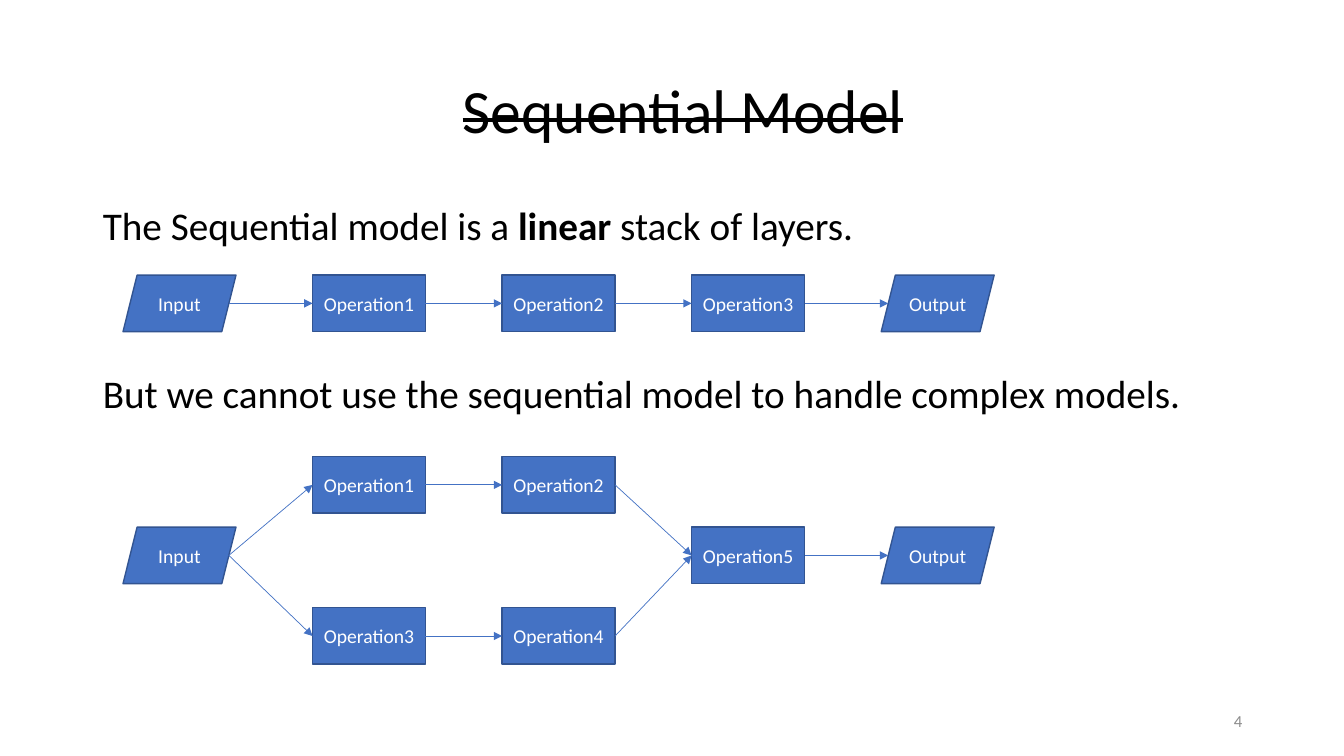
from dataclasses import dataclass

import pptx
import pptx.dml.color
import pptx.enum.shapes
import pptx.enum.text
import pptx.oxml
import pptx.oxml.ns
import pptx.util
from pptx.enum.shapes import MSO_SHAPE
from pptx.enum.text import MSO_ANCHOR, PP_ALIGN

EMU_PER_PX = 9144  # 100 px to the inch


@dataclass(frozen=True)
class Theme:
    font: str = "Calibri"
    ink: str = "000000"
    muted: str = "8C8C8C"
    on_fill: str = "FFFFFF"
    fill: str = "4472C4"
    outline: str = "325491"
    title_size: int = 44
    body_size: int = 28
    node_size: int = 14
    number_size: int = 12
    outline_width: float = 1
    arrow_width: float = 0.5


@dataclass(frozen=True)
class Node:
    label: str
    column: int
    top: int
    form: MSO_SHAPE = MSO_SHAPE.RECTANGLE


@dataclass(frozen=True)
class Diagram:
    nodes: list[Node]
    arrows: list[tuple[str, str]]


THEME = Theme()
NODE_WIDTH, NODE_HEIGHT = 112, 56
FIRST_LEFT, COLUMN_PITCH = 122, 188
SLANT_INSET = NODE_HEIGHT // 8  # middle of a parallelogram's slanted side

SLANTED = MSO_SHAPE.PARALLELOGRAM
LINEAR_TOP = 273
UPPER_TOP, MIDDLE_TOP, LOWER_TOP = 453, 523, 603

DIAGRAMS = [
    Diagram(
        [
            Node("Input", 0, LINEAR_TOP, SLANTED),
            Node("Operation1", 1, LINEAR_TOP),
            Node("Operation2", 2, LINEAR_TOP),
            Node("Operation3", 3, LINEAR_TOP),
            Node("Output", 4, LINEAR_TOP, SLANTED),
        ],
        [
            ("Input", "Operation1"),
            ("Operation1", "Operation2"),
            ("Operation2", "Operation3"),
            ("Operation3", "Output"),
        ],
    ),
    Diagram(
        [
            Node("Input", 0, MIDDLE_TOP, SLANTED),
            Node("Operation1", 1, UPPER_TOP),
            Node("Operation2", 2, UPPER_TOP),
            Node("Operation3", 1, LOWER_TOP),
            Node("Operation4", 2, LOWER_TOP),
            Node("Operation5", 3, MIDDLE_TOP),
            Node("Output", 4, MIDDLE_TOP, SLANTED),
        ],
        [
            ("Input", "Operation1"),
            ("Input", "Operation3"),
            ("Operation1", "Operation2"),
            ("Operation3", "Operation4"),
            ("Operation2", "Operation5"),
            ("Operation4", "Operation5"),
            ("Operation5", "Output"),
        ],
    ),
]


def px(length: int) -> pptx.util.Emu:
    return pptx.util.Emu(length * EMU_PER_PX)


def rgb(value: str) -> pptx.dml.color.RGBColor:
    return pptx.dml.color.RGBColor.from_string(value)


def place(shape, left: int, top: int, width: int, height: int) -> None:
    shape.left, shape.top, shape.width, shape.height = map(px, (left, top, width, height))


def write(paragraph, text: str, *, size: int, color: str, bold: bool = False,
          strike: bool = False, align: PP_ALIGN = PP_ALIGN.LEFT) -> None:
    """Append one formatted run to the paragraph."""
    paragraph.alignment = align
    run = paragraph.add_run()
    run.text = text
    run.font.name = THEME.font
    run.font.size = pptx.util.Pt(size)
    run.font.bold = bold
    run.font.color.rgb = rgb(color)
    if strike:
        run._r.get_or_add_rPr().set("strike", "sngStrike")


def prepare(frame, anchor: MSO_ANCHOR) -> None:
    frame.word_wrap = True
    frame.auto_size = pptx.enum.text.MSO_AUTO_SIZE.NONE
    frame.vertical_anchor = anchor


def remove_bullet(paragraph) -> None:
    properties = paragraph._p.get_or_add_pPr()
    properties.set("marL", "0")
    properties.set("indent", "0")
    pptx.oxml.ns.qn("a:buNone")
    properties.append(pptx.oxml.parse_xml(
        f'<a:buNone {pptx.oxml.ns.nsdecls("a")}/>'))


def add_title(slide) -> None:
    title = slide.shapes.title
    place(title, 92, 40, 1171, 145)
    prepare(title.text_frame, MSO_ANCHOR.MIDDLE)
    heading = title.text_frame.paragraphs[0]
    heading.line_spacing = 0.9
    write(heading, "Sequential Model", size=THEME.title_size, color=THEME.ink,
          strike=True, align=PP_ALIGN.CENTER)


def add_body(slide) -> None:
    body = slide.placeholders[1]
    place(body, 92, 200, 1150, 476)
    frame = body.text_frame
    prepare(frame, MSO_ANCHOR.TOP)
    definition, limitation = frame.paragraphs[0], frame.add_paragraph()
    for statement, gap in ((definition, 10), (limitation, 90)):
        statement.line_spacing = 0.9
        statement.space_before = pptx.util.Pt(gap)
        remove_bullet(statement)
    for text, bold in (("The Sequential model is a ", False), ("linear", True),
                       (" stack of layers.", False)):
        write(definition, text, size=THEME.body_size, color=THEME.ink, bold=bold)
    write(limitation, "But we cannot use the sequential model to handle complex models.",
          size=THEME.body_size, color=THEME.ink)


def add_page_number(slide) -> None:
    number = slide.shapes.add_textbox(px(942), px(695), px(300), px(40))
    prepare(number.text_frame, MSO_ANCHOR.MIDDLE)
    write(number.text_frame.paragraphs[0], "4", size=THEME.number_size,
          color=THEME.muted, align=PP_ALIGN.RIGHT)


def add_node(slide, node: Node):
    left = FIRST_LEFT + node.column * COLUMN_PITCH
    box = slide.shapes.add_shape(node.form, px(left), px(node.top),
                                 px(NODE_WIDTH), px(NODE_HEIGHT))
    box.shadow.inherit = False
    box.fill.solid()
    box.fill.fore_color.rgb = rgb(THEME.fill)
    box.line.color.rgb = rgb(THEME.outline)
    box.line.width = pptx.util.Pt(THEME.outline_width)
    prepare(box.text_frame, MSO_ANCHOR.MIDDLE)
    write(box.text_frame.paragraphs[0], node.label, size=THEME.node_size,
          color=THEME.on_fill, align=PP_ALIGN.CENTER)
    return box


def add_arrow(slide, source, target) -> None:
    """Join right side to left side; slanted sides meet the arrow at their middle."""
    inset, middle = px(SLANT_INSET), px(NODE_HEIGHT // 2)
    arrow = slide.shapes.add_connector(
        pptx.enum.shapes.MSO_CONNECTOR.STRAIGHT,
        source.left + source.width - inset, source.top + middle,
        target.left + inset, target.top + middle)
    if source.auto_shape_type == MSO_SHAPE.RECTANGLE:
        arrow.begin_connect(source, 3)
    if target.auto_shape_type == MSO_SHAPE.RECTANGLE:
        arrow.end_connect(target, 1)
    arrow.line.color.rgb = rgb(THEME.fill)
    arrow.line.width = pptx.util.Pt(THEME.arrow_width)
    namespace = pptx.oxml.ns.nsdecls("a")
    arrow.line._get_or_add_ln().append(
        pptx.oxml.parse_xml(f'<a:tailEnd {namespace} type="triangle"/>'))
    arrow._element.spPr.append(pptx.oxml.parse_xml(f"<a:effectLst {namespace}/>"))


def add_diagram(slide, diagram: Diagram) -> None:
    boxes = {node.label: add_node(slide, node) for node in diagram.nodes}
    for source, target in diagram.arrows:
        add_arrow(slide, boxes[source], boxes[target])


def main() -> None:
    deck = pptx.Presentation()
    deck.slide_width, deck.slide_height = px(1333), px(750)
    slide = deck.slides.add_slide(deck.slide_layouts[1])
    add_title(slide)
    add_body(slide)
    add_page_number(slide)
    for diagram in DIAGRAMS:
        add_diagram(slide, diagram)
    deck.save("out.pptx")


if __name__ == "__main__":
    main()
